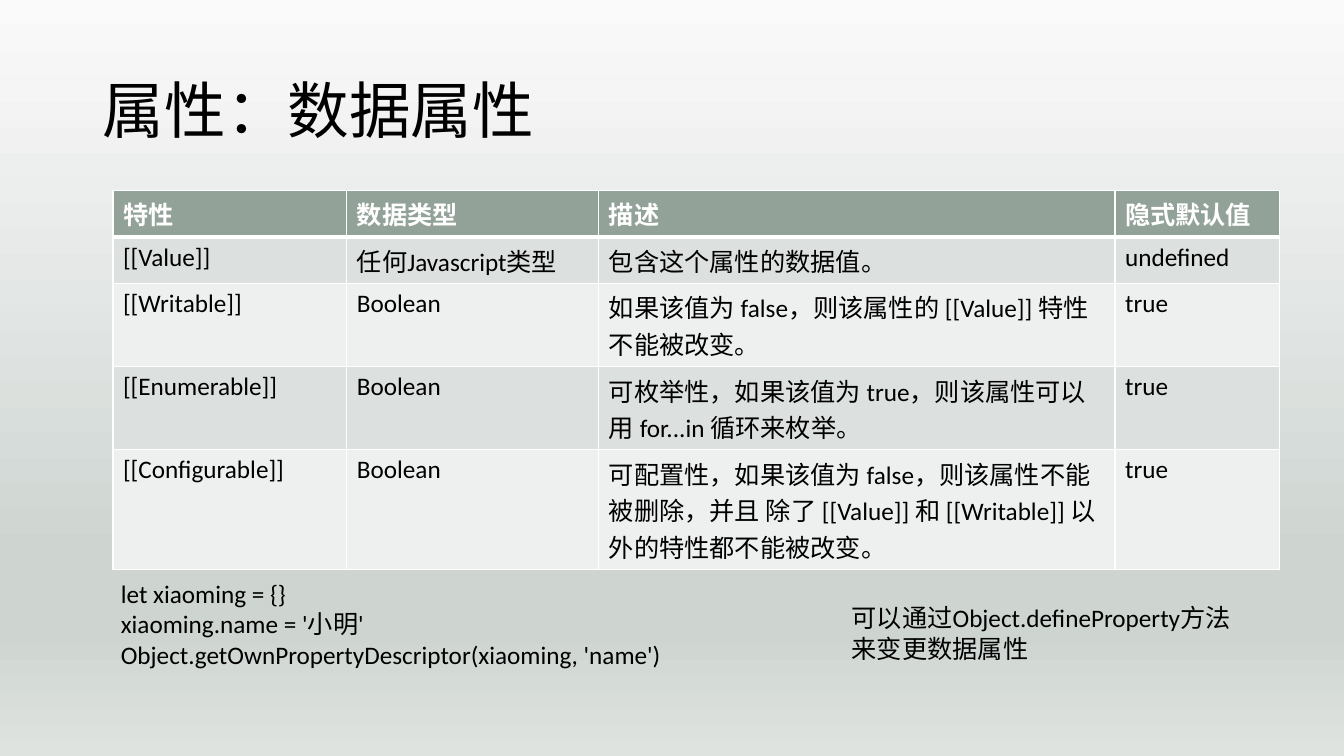
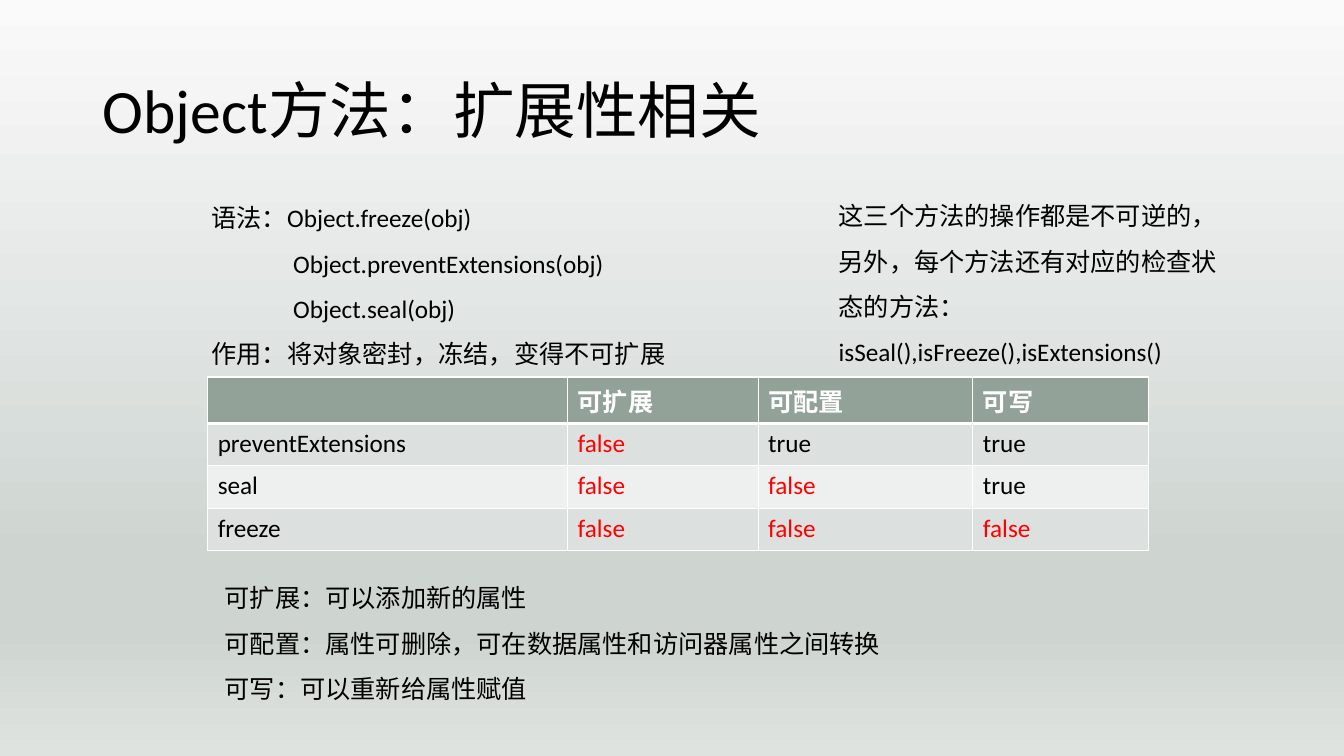
"""Build two slides on object property attributes and extensibility methods."""
from lxml.etree import SubElement as Sub
from pptx import Presentation
from pptx.dml.color import RGBColor as Rgb
from pptx.enum.text import MSO_ANCHOR as Anchor, MSO_AUTO_SIZE as Fit, PP_ALIGN as Align
from pptx.oxml import parse_xml
from pptx.oxml.ns import nsdecls, qn
from pptx.util import Inches, Pt

HUES = {"ink": "000000", "white": "FFFFFF", "head": "93A299", "odd": "DCE0DE",
        "even": "EEF0EF", "alert": "FF0000"}
STOPS = [(0, "FAFAFA"), (74, "CED5D1"), (83, "CED5D1"), (100, "DFE3E0")]
FONT = "Calibri"
ROW = 0.42

SLIDES = [
    {
        "title": "属性：数据属性",
        "width": 11.5,
        "table": {
            "at": (1.12, 1.89),
            "cols": (2.32, 2.5, 5.12, 1.63),
            "rows": [
                ("特性", "数据类型", "描述", "隐式默认值"),
                ("[[Value]]", "任何Javascript类型", "包含这个属性的数据值。", "undefined"),
                ("[[Writable]]", "Boolean",
                 "如果该值为 false，则该属性的 [[Value]] 特性 不能被改变。", "true"),
                ("[[Enumerable]]", "Boolean",
                 "可枚举性，如果该值为 true，则该属性可以用 for...in 循环来枚举。", "true"),
                ("[[Configurable]]", "Boolean",
                 "可配置性，如果该值为 false，则该属性不能被删除，并且 除了 [[Value]] 和 "
                 "[[Writable]] 以外的特性都不能被改变。", "true"),
            ],
        },
        "notes": [
            {"at": (1.1, 5.69, 7.08, 1), "lines": [
                "let xiaoming = {}",
                "xiaoming.name = '小明'",
                "Object.getOwnPropertyDescriptor(xiaoming, 'name')"]},
            {"at": (8.35, 5.93, 4.43, 0.7), "wrap": False, "lines": [
                "可以通过Object.defineProperty方法",
                "来变更数据属性"]},
        ],
    },
    {
        "title": "Object方法：扩展性相关",
        "width": 11.99,
        "table": {
            "at": (2.06, 3.74),
            "cols": (3.57, 1.89, 2.13, 1.74),
            "rows": [
                ("", "可扩展", "可配置", "可写"),
                ("preventExtensions", "false", "true", "true"),
                ("seal", "false", "false", "true"),
                ("freeze", "false", "false", "false"),
            ],
        },
        "notes": [
            {"at": (2, 1.81, 4.7, 1.9), "wrap": False, "space": 1.5,
             "indent": {1: 0.81, 2: 0.81}, "lines": [
                 "语法：Object.freeze(obj)",
                 "Object.preventExtensions(obj)",
                 "Object.seal(obj)",
                 "作用：将对象密封，冻结，变得不可扩展"]},
            {"at": (8.22, 1.79, 4.17, 1.9), "space": 1.5, "lines": [
                "这三个方法的操作都是不可逆的，另外，每个方法还有对应的检查状态的方法：",
                "isSeal(),isFreeze(),isExtensions()"]},
            {"at": (2.13, 5.58, 9.58, 1.45), "space": 1.5, "lines": [
                "可扩展：可以添加新的属性",
                "可配置：属性可删除，可在数据属性和访问器属性之间转换",
                "可写：可以重新给属性赋值"]},
        ],
    },
]


def style(para, size=18, hue="ink", bold=False):
    for run in para.runs:
        font = run.font
        font.name, font.size, font.bold = FONT, Pt(size), bold
        font.color.rgb = Rgb.from_string(HUES[hue])


def paint(master):
    fill = master.background.fill
    fill.gradient()
    fill.gradient_angle = 270
    stops = master.element.find(".//" + qn("a:gsLst"))
    for old in list(stops):
        stops.remove(old)
    for spot, hue in STOPS:
        stop = Sub(stops, qn("a:gs"), pos=str(spot * 1000))
        Sub(stop, qn("a:srgbClr"), val=hue)


def add_title(slide, text, width):
    title = slide.shapes.title
    title.left, title.top = Inches(0.92), Inches(0.4)
    title.width, title.height = Inches(width), Inches(1.45)
    frame = title.text_frame
    frame.text = text
    frame.vertical_anchor = Anchor.MIDDLE
    para = frame.paragraphs[0]
    para.alignment, para.line_spacing = Align.LEFT, 0.9
    style(para, 44)


def edge(cell, row):
    props = cell._tc.get_or_add_tcPr()
    thick = {0: "B", 1: "T"}.get(row)
    for spot, side in enumerate("LRTB"):
        width = Pt(3 if side == thick else 1)
        props.insert(spot, parse_xml(
            f'<a:ln{side} {nsdecls("a")} w="{width}"><a:solidFill>'
            f'<a:srgbClr val="{HUES["white"]}"/></a:solidFill></a:ln{side}>'))


def add_grid(slide, at, cols, rows):
    size = sum(cols), ROW * len(rows)
    table = slide.shapes.add_table(len(rows), len(cols), *map(Inches, at + size)).table
    for col, width in zip(table.columns, cols):
        col.width = Inches(width)
    for r, row in enumerate(rows):
        table.rows[r].height = Inches(ROW)
        back = "head" if r == 0 else "odd" if r % 2 else "even"
        for c, text in enumerate(row):
            cell = table.cell(r, c)
            cell.text = text
            cell.fill.solid()
            cell.fill.fore_color.rgb = Rgb.from_string(HUES[back])
            hue = "white" if r == 0 else "alert" if text == "false" else "ink"
            style(cell.text_frame.paragraphs[0], hue=hue, bold=r == 0)
            edge(cell, r)


def add_note(slide, at, lines, wrap=True, space=None, indent=None):
    frame = slide.shapes.add_textbox(*map(Inches, at)).text_frame
    frame.text = "\n".join(lines)
    frame.word_wrap, frame.auto_size = wrap, Fit.SHAPE_TO_FIT_TEXT
    for n, para in enumerate(frame.paragraphs):
        para.line_spacing = space
        if indent and n in indent:
            para._p.get_or_add_pPr().set("marL", str(Inches(indent[n])))
        style(para)


def main():
    prs = Presentation()
    prs.slide_width, prs.slide_height = Inches(13.33), Inches(7.5)
    paint(prs.slide_master)
    for page in SLIDES:
        slide = prs.slides.add_slide(prs.slide_layouts[5])
        add_title(slide, page["title"], page["width"])
        add_grid(slide, **page["table"])
        for note in page["notes"]:
            add_note(slide, **note)
    prs.save("out.pptx")


if __name__ == "__main__":
    main()
